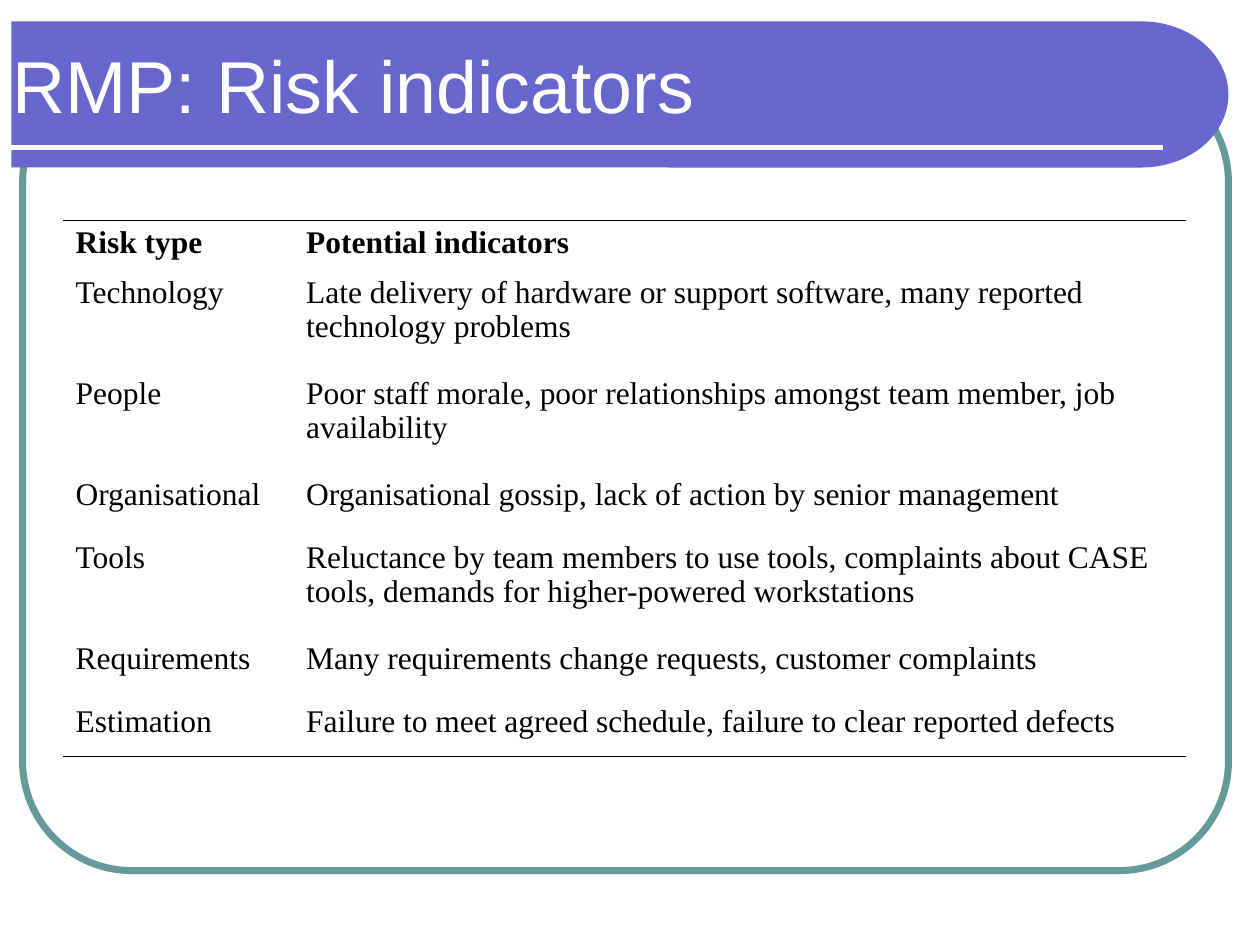
import math

import pptx
import pptx.dml.color
import pptx.enum.shapes
import pptx.enum.text
import pptx.oxml
import pptx.oxml.ns
import pptx.util
from pptx.util import Inches

PURPLE, TEAL, WHITE, BLACK = "6666CC", "669999", "FFFFFF", "000000"

RISKS = [
    ("Risk type", "Potential indicators"),
    ("Technology", "Late delivery of hardware or support software, "
                   "many reported technology problems"),
    ("People", "Poor staff morale, poor relationships amongst team member, "
               "job availability"),
    ("Organisational", "Organisational gossip, lack of action by senior management"),
    ("Tools", "Reluctance by team members to use tools, complaints about CASE tools, "
              "demands for higher-powered workstations"),
    ("Requirements", "Many requirements change requests, customer complaints"),
    ("Estimation", "Failure to meet agreed schedule, failure to clear reported defects"),
]
COLUMN_WIDTHS = [1.83, 7.08]
ROW_HEIGHTS = [0.4, 0.8, 0.8, 0.5, 0.8, 0.5, 0.45]


def rgb(color):
    return pptx.dml.color.RGBColor.from_string(color)


class SlideBuilder:
    title_font, title_size = "Arial", 42
    table_font, table_size = "Times New Roman", 18
    rule_width = 0.45

    def __init__(self, s):
        self.s = s

    def format_text(self, p, font, size, color, bold=False):
        for r in p.runs:
            r.font.name, r.font.size = font, pptx.util.Pt(size)
            r.font.color.rgb, r.font.bold = rgb(color), bold

    def frame(self, x, y, w, h, color, width, radius):
        sp = self.s.shapes.add_shape(pptx.enum.shapes.MSO_SHAPE.ROUNDED_RECTANGLE,
                                     Inches(x), Inches(y), Inches(w), Inches(h))
        sp.adjustments[0] = radius
        sp.shadow.inherit = False
        sp.fill.background()
        sp.line.color.rgb, sp.line.width = rgb(color), pptx.util.Pt(width)

    def band(self, x, y, w, h, cap, color, steps=48):
        """Bar whose right end is half an ellipse, cap inches deep."""
        cx, cy = x + w - cap, y + h / 2
        angles = [math.pi * (i / steps - 0.5) for i in range(steps + 1)]
        arc = [(Inches(cx + cap * math.cos(a)), Inches(cy + h / 2 * math.sin(a)))
               for a in angles]
        builder = self.s.shapes.build_freeform(Inches(x), Inches(y))
        builder.add_line_segments(arc + [(Inches(x), Inches(y + h))], close=True)
        sp = builder.convert_to_shape()
        sp.shadow.inherit = False
        sp.fill.solid()
        sp.fill.fore_color.rgb = rgb(color)
        sp.line.fill.background()

    def line(self, x1, y1, x2, y2, color, width):
        cn = self.s.shapes.add_connector(pptx.enum.shapes.MSO_CONNECTOR.STRAIGHT,
                                         Inches(x1), Inches(y1), Inches(x2), Inches(y2))
        cn.line.color.rgb, cn.line.width = rgb(color), pptx.util.Pt(width)
        spPr = cn._element.spPr
        spPr.append(pptx.oxml.parse_xml(
            "<a:effectLst %s/>" % pptx.oxml.ns.nsdecls("a")))

    def title(self, text, x, y, w, h):
        tf = self.s.shapes.add_textbox(Inches(x), Inches(y), Inches(w), Inches(h)).text_frame
        tf.word_wrap = True
        tf.vertical_anchor = pptx.enum.text.MSO_ANCHOR.MIDDLE
        tf.text = text
        self.format_text(tf.paragraphs[0], self.title_font, self.title_size, WHITE)

    def borders(self, cell, ruled):
        """Rule the named sides of a cell and clear the others."""
        tcPr = cell._tc.get_or_add_tcPr()
        for i, side in enumerate(("lnL", "lnR", "lnT", "lnB")):
            paint = "<a:noFill/>"
            if side in ruled:
                paint = '<a:solidFill><a:srgbClr val="%s"/></a:solidFill>' % BLACK
            tcPr.insert(i, pptx.oxml.parse_xml('<a:%s %s w="%d">%s</a:%s>' % (
                side, pptx.oxml.ns.nsdecls("a"), pptx.util.Pt(self.rule_width), paint, side)))

    def table(self, data, x, y, widths, heights):
        table = self.s.shapes.add_table(len(data), len(widths), Inches(x), Inches(y),
                                        Inches(sum(widths)), Inches(sum(heights))).table
        table.first_row = table.horz_banding = False
        for column, width in zip(table.columns, widths):
            column.width = Inches(width)
        for i, (values, height) in enumerate(zip(data, heights)):
            table.rows[i].height = Inches(height)
            ruled = {0: ["lnT"], len(data) - 1: ["lnB"]}.get(i, [])
            for j, value in enumerate(values):
                cell = table.cell(i, j)
                cell.fill.background()
                self.borders(cell, ruled)
                cell.text_frame.text = value
                p = cell.text_frame.paragraphs[0]
                p.line_spacing = 0.96
                self.format_text(p, self.table_font, self.table_size, BLACK, bold=i == 0)


def main():
    prs = pptx.Presentation()
    prs.slide_width, prs.slide_height = Inches(10), Inches(7.5)
    b = SlideBuilder(prs.slides.add_slide(prs.slide_layouts[6]))

    # Frame and title band
    b.frame(0.18, 0.58, 9.57, 6.33, TEAL, 4, 0.137)
    b.band(0.09, 0.17, 9.66, 1.16, 0.69, PURPLE)
    b.line(0.08, 1.17, 9.23, 1.17, WHITE, 3)
    b.title("RMP: Risk indicators", 0, 0.25, 8.77, 0.83)

    # Risk table
    b.table(RISKS, 0.5, 1.75, COLUMN_WIDTHS, ROW_HEIGHTS)

    prs.save("out.pptx")


if __name__ == "__main__":
    main()
